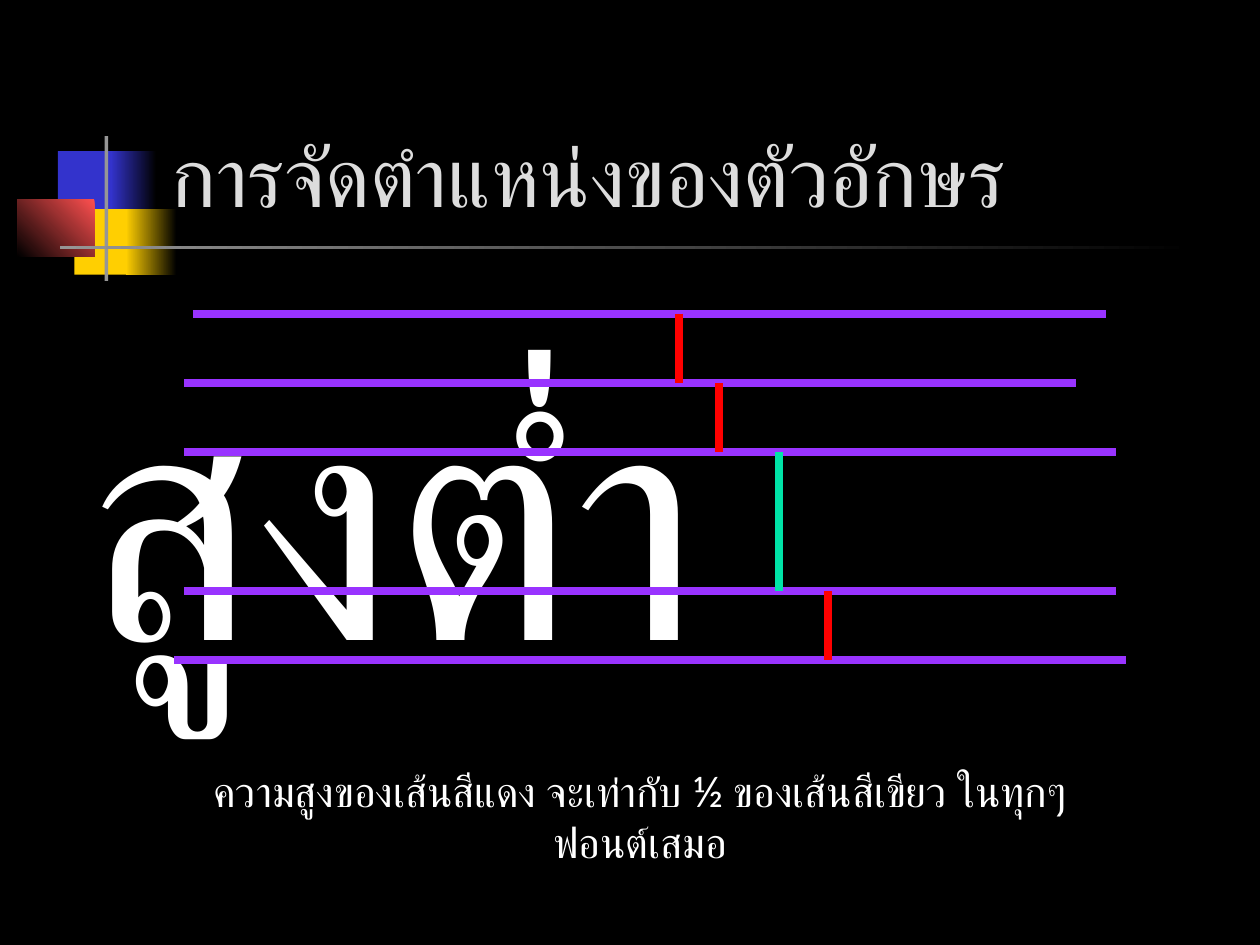
from dataclasses import dataclass

from lxml import etree
from pptx import Presentation
from pptx.dml.color import RGBColor
from pptx.enum.shapes import MSO_CONNECTOR, MSO_SHAPE
from pptx.enum.text import MSO_ANCHOR, MSO_AUTO_SIZE, PP_ALIGN
from pptx.oxml.ns import qn
from pptx.util import Inches, Pt

RECTANGLE = MSO_SHAPE.RECTANGLE
STRAIGHT = MSO_CONNECTOR.STRAIGHT
BOTTOM = MSO_ANCHOR.BOTTOM
TOP = MSO_ANCHOR.TOP
LEFT = PP_ALIGN.LEFT
CENTER = PP_ALIGN.CENTER
NO_AUTOFIT = MSO_AUTO_SIZE.NONE


@dataclass(frozen=True)
class Theme:
    font: str = "Lato"
    background: str = "000000"
    title: str = "DDDDDD"
    text: str = "FFFFFF"
    blue: str = "3333CC"
    yellow: str = "FFCF01"
    coral: str = "FF5050"
    gray: str = "969696"
    guide: str = "9933FF"
    full_height: str = "00E4A8"
    half_height: str = "FF0000"
    title_size: float = 48
    sample_size: float = 189
    caption_size: float = 24
    line_width: float = 4.5


class SlideBuilder:
    def __init__(self, slide, theme):
        self.slide = slide
        self.theme = theme
        fill = slide.background.fill
        fill.solid()
        fill.fore_color.rgb = RGBColor.from_string(theme.background)

    def rectangle(self, left, top, width, height, *colors, angle=180):
        shape = self.slide.shapes.add_shape(
            RECTANGLE, Inches(left), Inches(top), Inches(width), Inches(height))
        shape.shadow.inherit = False
        shape.line.fill.background()
        if len(colors) == 1:
            shape.fill.solid()
            shape.fill.fore_color.rgb = RGBColor.from_string(colors[0])
            return
        shape.fill.gradient()
        shape.fill.gradient_angle = angle
        for stop, color in zip(shape.fill.gradient_stops, colors):
            stop.color.rgb = RGBColor.from_string(color)

    def line(self, start_x, start_y, end_x, end_y, color):
        connector = self.slide.shapes.add_connector(
            STRAIGHT, Inches(start_x), Inches(start_y), Inches(end_x), Inches(end_y))
        connector.line.color.rgb = RGBColor.from_string(color)
        connector.line.width = Pt(self.theme.line_width)
        etree.SubElement(connector._element.spPr, qn("a:effectLst"))

    def fill_text(self, shape, text, size, color, alignment, anchor):
        frame = shape.text_frame
        frame.word_wrap = True
        frame.auto_size = NO_AUTOFIT
        frame.vertical_anchor = anchor
        paragraph = frame.paragraphs[0]
        paragraph.alignment = alignment
        run = paragraph.add_run()
        run.text = text
        run.font.size = Pt(size)
        run.font.name = self.theme.font
        run.font.color.rgb = RGBColor.from_string(color)
        complex_font = etree.SubElement(run.font._element, qn("a:cs"))
        complex_font.set("typeface", self.theme.font)

    def title(self, left, top, width, height, text):
        shape = self.slide.shapes.title
        shape.left, shape.top = Inches(left), Inches(top)
        shape.width, shape.height = Inches(width), Inches(height)
        self.fill_text(shape, text, self.theme.title_size, self.theme.title, LEFT, BOTTOM)

    def text(self, left, top, width, height, text, size):
        shape = self.slide.shapes.add_textbox(
            Inches(left), Inches(top), Inches(width), Inches(height))
        self.fill_text(shape, text, size, self.theme.text, CENTER, TOP)


def add_ornament(builder):
    theme = builder.theme
    dark = theme.background
    builder.rectangle(0.46, 1.2, 0.48, 0.52, theme.blue)
    builder.rectangle(0.88, 1.2, 0.36, 0.52, dark, theme.blue)
    builder.rectangle(0.59, 1.66, 0.46, 0.52, theme.yellow)
    builder.rectangle(1, 1.66, 0.4, 0.52, dark, theme.yellow)
    builder.rectangle(0.14, 1.58, 0.61, 0.46, theme.coral, dark, angle=225)
    builder.rectangle(0.83, 1.08, 0.03, 1.15, theme.gray)
    builder.rectangle(0.48, 1.95, 9, 0.03, dark, theme.gray)


def add_guides(builder):
    theme = builder.theme
    half = 0.55
    top = 2.49
    levels = [top + half * step for step in (0, 1, 2, 4, 5)]
    extents = [(1.53, 8.78), (1.46, 8.54), (1.46, 8.86), (1.46, 8.86), (1.38, 8.94)]
    for level, (start, end) in zip(levels, extents):
        builder.line(start, level, end, level, theme.guide)
    measures = [
        (5.39, theme.half_height),
        (5.71, theme.half_height),
        (6.18, theme.full_height),
        (6.57, theme.half_height),
    ]
    for (x, color), upper, lower in zip(measures, levels, levels[1:]):
        builder.line(x, upper, x, lower, color)


def main():
    presentation = Presentation()
    presentation.slide_width = Inches(10)
    presentation.slide_height = Inches(7.5)
    theme = Theme()
    slide = presentation.slides.add_slide(presentation.slide_layouts[5])
    builder = SlideBuilder(slide, theme)
    add_ornament(builder)
    builder.title(1.26, 0.23, 8.52, 1.6, "การจัดตำแหน่งของตัวอักษร")
    builder.text(0.27, 2.41, 5.67, 3.25, "สูงต่ำ", theme.sample_size)
    add_guides(builder)
    builder.text(
        1.38, 6.03, 7.4, 0.9,
        "ความสูงของเส้นสีแดง จะเท่ากับ ½ ของเส้นสีเขียว ในทุกๆฟอนต์เสมอ",
        theme.caption_size)
    presentation.save("out.pptx")


if __name__ == "__main__":
    main()
